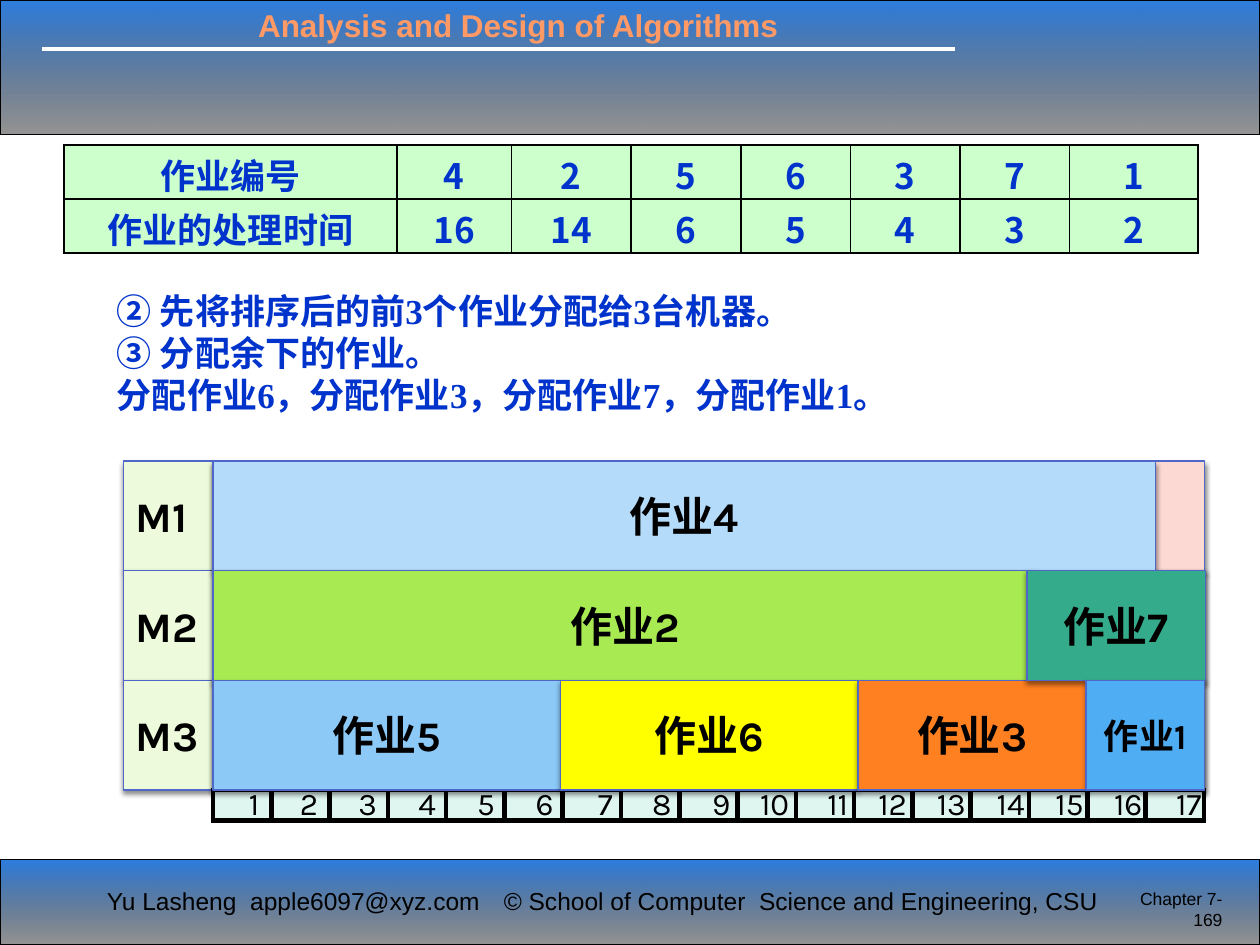
from dataclasses import dataclass

import pptx
import pptx.util
from lxml import etree
from pptx.dml.color import RGBColor
from pptx.enum.shapes import MSO_CONNECTOR, MSO_SHAPE
from pptx.enum.text import MSO_ANCHOR, PP_ALIGN
from pptx.oxml.ns import qn
from pptx.util import Inches, Pt

BLACK = RGBColor(0, 0, 0)
WHITE = RGBColor(255, 255, 255)
SKY = RGBColor(0x0E, 0x6B, 0xDC)
CORAL = RGBColor(0xFF, 0x99, 0x66)
BLUE = RGBColor(0x00, 0x33, 0xCC)
MINT = RGBColor(0xCC, 0xFF, 0xCC)
EDGE = RGBColor(0x4E, 0x67, 0xC8)
CREAM = RGBColor(0xED, 0xFB, 0xDC)
PINK = RGBColor(0xFC, 0xD9, 0xD3)
ICE = RGBColor(0xDF, 0xF5, 0xEF)
HAN = "Noto Sans CJK SC"
NO_STYLE = "{2D5ABB26-0587-4C30-8999-92F81FD0307C}"
LEFT, TOP, WIDE, HIGH = 1.69, 3.66, 7.87, 0.87
SLOTS = 17


@dataclass
class Face:
    name: str
    size: float
    color: RGBColor = BLACK
    bold: bool = False


@dataclass
class Job:
    num: int
    row: int
    left: float
    width: float
    color: RGBColor
    size: int = 24


JOBS = [
    Job(4, 0, LEFT, 7.48, RGBColor(0xB4, 0xDC, 0xFA)),
    Job(2, 1, LEFT, 6.54, RGBColor(0xA7, 0xEA, 0x52)),
    Job(5, 2, LEFT, 2.76, RGBColor(0x8C, 0xC9, 0xF7)),
    Job(6, 2, 4.45, 2.36, RGBColor(0xFF, 0xFF, 0x00)),
    Job(3, 2, 6.81, 1.81, RGBColor(0xFF, 0x80, 0x21)),
    Job(7, 1, 8.15, 1.42, RGBColor(0x34, 0xAC, 0x8B)),
    Job(1, 2, 8.62, 0.94, RGBColor(0x4F, 0xAD, 0xF3), 20),
]


def add_run(para, text: str, face: Face) -> None:
    run = para.add_run()
    run.text = text
    font = run.font
    font.name, font.size, font.bold = face.name, Pt(face.size), face.bold
    font.color.rgb = face.color
    east = etree.Element(qn("a:ea"), typeface=HAN)
    run._r.rPr.find(qn("a:latin")).addnext(east)


def add_text(slide, box: tuple, lines: list[str], face: Face,
             align=PP_ALIGN.LEFT, wrap: bool = True, indent: float = 0) -> None:
    frame = slide.shapes.add_textbox(*map(Inches, box)).text_frame
    frame.word_wrap = wrap
    for i, line in enumerate(lines):
        para = frame.add_paragraph() if i else frame.paragraphs[0]
        para.alignment = align
        if indent:
            para._p.get_or_add_pPr().set("indent", str(Inches(indent)))
        add_run(para, line, face)


def add_band(slide, top: float, height: float) -> None:
    """Full-width bar with a see-through vertical gradient."""
    band = slide.shapes.add_shape(MSO_SHAPE.RECTANGLE, 0, Inches(top),
                                  Inches(10), Inches(height))
    band.shadow.inherit = False
    band.fill.gradient()
    band.fill.gradient_angle = 270
    for stop, color, pos in zip(band.fill.gradient_stops, (SKY, BLACK), (0, 1)):
        stop.color.rgb, stop.position = color, pos
    tints = band._element.spPr.iter(qn("a:srgbClr"))
    for tint, alpha in zip(list(tints), (88, 41)):
        etree.SubElement(tint, qn("a:alpha"), val=str(alpha * 1000))
    band.line.color.rgb, band.line.width = BLACK, Pt(0.75)


def add_bar(slide, left: float, row: int, width: float, color: RGBColor,
            text: str = "", size: int = 24, align=PP_ALIGN.CENTER) -> None:
    """Bar in a machine row, with a soft shadow below it."""
    bar = slide.shapes.add_shape(
        MSO_SHAPE.RECTANGLE, Inches(left), Inches(TOP + row * HIGH),
        Inches(width), Inches(HIGH))
    bar.fill.solid()
    bar.fill.fore_color.rgb = color
    bar.line.color.rgb, bar.line.width = EDGE, Pt(0.75)
    bar.shadow.inherit = False
    glow = etree.SubElement(
        bar._element.spPr.find(qn("a:effectLst")), qn("a:outerShdw"),
        blurRad=str(Pt(3.1)), dist=str(Pt(1.8)), dir="5400000", rotWithShape="0")
    tint = etree.SubElement(glow, qn("a:srgbClr"), val=str(BLACK))
    etree.SubElement(tint, qn("a:alpha"), val="45000")
    if text:
        frame = bar.text_frame
        frame.vertical_anchor = MSO_ANCHOR.MIDDLE
        para = frame.paragraphs[0]
        para.alignment = align
        add_run(para, text, Face("Karla", size, BLACK, True))


def add_border(cell, width: float) -> None:
    props = cell._tc.get_or_add_tcPr()
    for i, side in enumerate(("lnL", "lnR", "lnT", "lnB")):
        line = etree.Element(qn("a:" + side), w=str(Pt(width)))
        fill = etree.SubElement(line, qn("a:solidFill"))
        etree.SubElement(fill, qn("a:srgbClr"), val=str(BLACK))
        props.insert(i, line)


def add_grid(slide, left: float, top: float, cols: list[float], high: float,
             rows: list[list], face: Face, align, fill=None, edge: float = 0,
             pad: tuple = (0.1, 0.05, 0.05)) -> None:
    """Table with one row height; pad is side, top and bottom."""
    frame = slide.shapes.add_table(
        len(rows), len(cols), Inches(left), Inches(top),
        Inches(sum(cols)), Inches(high * len(rows)))
    table = frame.table
    table.first_row = table.horz_banding = False
    table._tbl.tblPr.find(qn("a:tableStyleId")).text = NO_STYLE
    for col, width in zip(table.columns, cols):
        col.width = Inches(width)
    for row, values in zip(table.rows, rows):
        row.height = Inches(high)
        for cell, value in zip(row.cells, values):
            cell.margin_left = cell.margin_right = Inches(pad[0])
            cell.margin_top, cell.margin_bottom = Inches(pad[1]), Inches(pad[2])
            if fill is None:
                cell.fill.background()
            else:
                cell.fill.solid()
                cell.fill.fore_color.rgb = fill
            if edge:
                add_border(cell, edge)
            para = cell.text_frame.paragraphs[0]
            para.alignment = align
            if value:
                add_run(para, str(value), face)
            else:
                etree.SubElement(para._p, qn("a:endParaRPr"),
                                 sz=str(int(face.size * 100)))


def main() -> None:
    deck = pptx.Presentation()
    deck.slide_width, deck.slide_height = Inches(10), Inches(7.5)
    slide = deck.slides.add_slide(deck.slide_layouts[6])

    add_band(slide, 0, 1.07)
    add_band(slide, 6.82, 0.68)
    rule = slide.shapes.add_connector(
        MSO_CONNECTOR.STRAIGHT, Inches(0.33), Inches(0.39), Inches(7.58), Inches(0.39))
    rule.line.color.rgb, rule.line.width = WHITE, Pt(2.25)
    etree.SubElement(rule._element.spPr, qn("a:effectLst"))
    add_text(slide, (1.95, 0, 5, 0.4), ["Analysis and Design of Algorithms"],
             Face("Arial", 18, CORAL, True))
    foot = Face("Arial", 14)
    add_text(slide, (0.75, 6.98, 3.21, 0.34), ["Yu Lasheng  apple6097@xyz.com"],
             foot, wrap=False)
    add_text(slide, (3.9, 6.98, 5.12, 0.34),
             ["© School of Computer  Science and Engineering, CSU"], foot, wrap=False)

    add_text(slide, (0.27, 2.25, 9.45, 1.11),
             ["② 先将排序后的前3个作业分配给3台机器。", "③ 分配余下的作业。",
              "分配作业6，分配作业3，分配作业7，分配作业1。"],
             Face("Times New Roman", 20, BLUE, True), indent=0.56)
    add_grid(slide, 0.51, 1.15, [2.64, 0.91, 0.95] + [0.87] * 4 + [1.02], 0.43,
             [["作业编号", 4, 2, 5, 6, 3, 7, 1],
              ["作业的处理时间", 16, 14, 6, 5, 4, 3, 2]],
             Face(HAN, 20, BLUE, True), PP_ALIGN.CENTER, MINT, 1, (0.1, 0.03, 0))

    for row in range(3):
        add_bar(slide, 0.98, row, 0.71, CREAM, f"M{row + 1}", align=PP_ALIGN.LEFT)
    for row in (0, 2, 1):
        add_bar(slide, LEFT, row, WIDE, PINK)
    add_grid(slide, LEFT, 6.27, [WIDE / SLOTS] * SLOTS, 0.24, [[""] * SLOTS],
             Face("Karla", 8), PP_ALIGN.RIGHT, ICE, 3, (0, 0, 0))
    add_grid(slide, LEFT, 6.19, [7.95 / SLOTS] * SLOTS, 0.4,
             [list(range(1, SLOTS + 1))], Face("Karla", 18), PP_ALIGN.RIGHT)
    for job in JOBS:
        add_bar(slide, job.left, job.row, job.width, job.color,
                f"作业{job.num}", job.size)

    add_text(slide, (8.78, 7, 1.02, 0.5), ["Chapter 7-169"], Face("Arial", 10),
             PP_ALIGN.RIGHT)
    deck.save("out.pptx")


if __name__ == "__main__":
    main()
